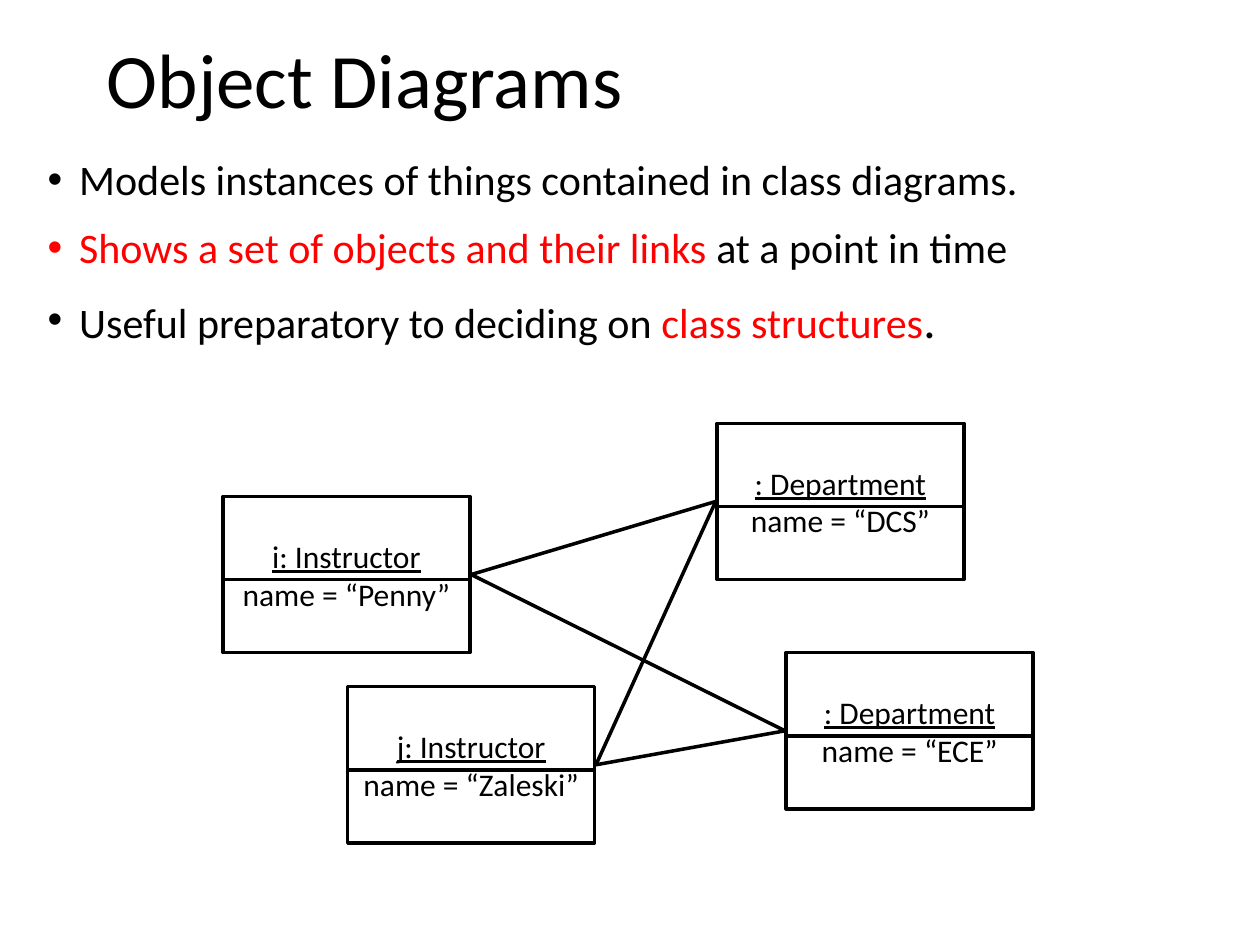
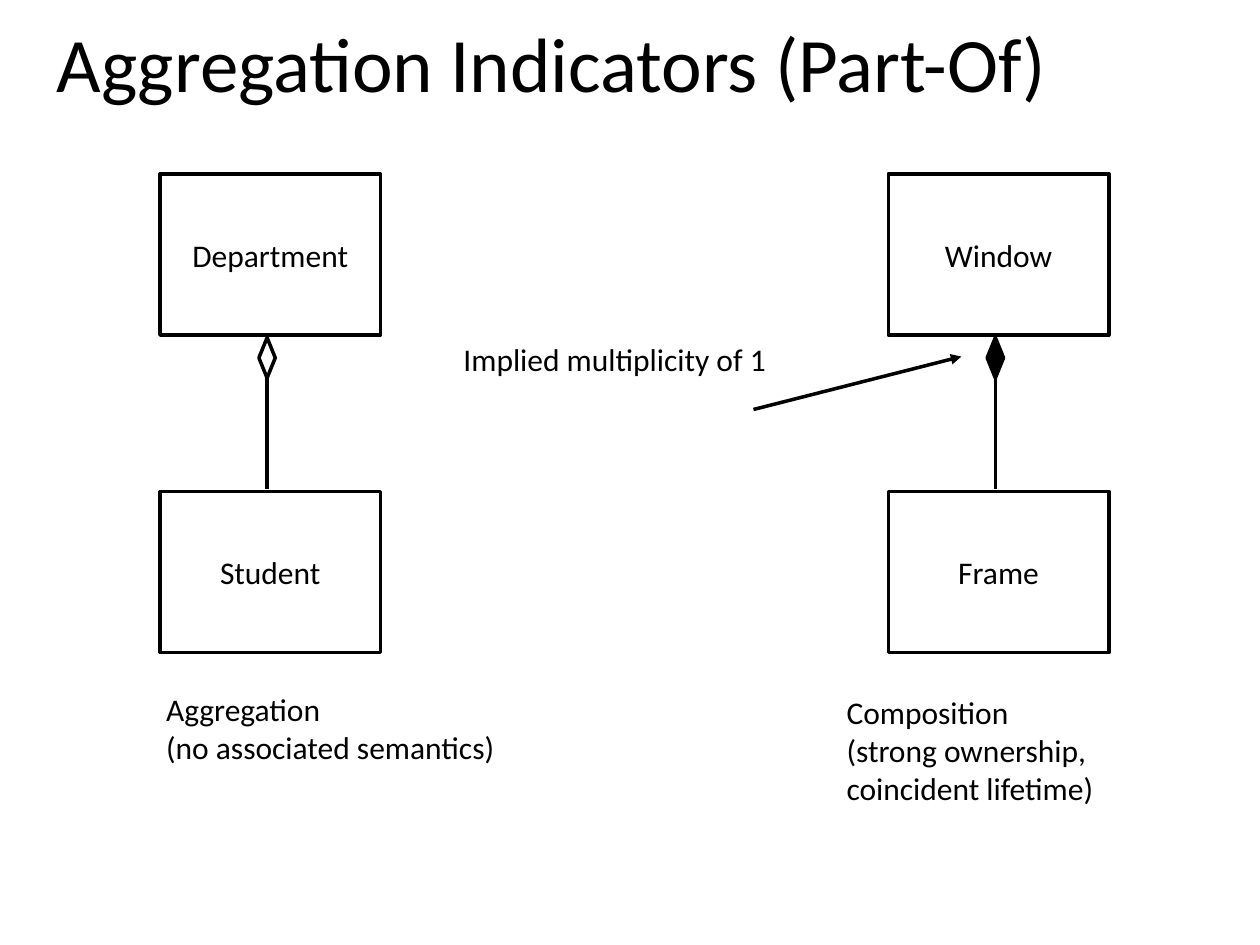
"""Build two slides on UML object diagrams and aggregation."""
from lxml.etree import SubElement
from pptx import Presentation
from pptx.dml.color import RGBColor
from pptx.enum.shapes import MSO_CONNECTOR, MSO_SHAPE
from pptx.enum.text import MSO_ANCHOR, PP_ALIGN
from pptx.oxml.ns import qn
from pptx.util import Inches, Pt

HUES = {"ink": "000000", "paper": "FFFFFF", "key": "FF0000"}
FONT = "Calibri"
RULE = 2
GAP = 0.01

RED = {"hue": "key"}
POINTS = [
    ["Models instances of things contained in class diagrams."],
    [("Shows a set of objects and their links ", RED), "at a point in time"],
    ["Useful preparatory to deciding on ", ("class structures", RED), (".", {"size": 28})],
]

CARD = (1.96, 1.24)
SPLIT = 0.66
CARDS = {
    "Penny": ("i: Instructor", 1.77, 3.94),
    "Zaleski": ("j: Instructor", 2.76, 5.45),
    "DCS": (": Department", 5.69, 3.36),
    "ECE": (": Department", 6.24, 5.18),
}
LINKS = [("Penny", "DCS"), ("Penny", "ECE"), ("Zaleski", "DCS"), ("Zaleski", "ECE")]

BOX = (1.75, 1.28)
ROWS = (1.38, 3.9)
GEM = (0.13, 0.32)
PAIRS = [
    (1.27, ("Department", "Student"), "paper"),
    (7.05, ("Window", "Frame"), "ink"),
]
NOTES = [
    ((3.58, 2.65, 2.65, 0.91), [["Implied multiplicity of 1"]]),
    ((6.62, 5.45, 2.92, 1.31), [["Composition"], ["(strong ownership,", "\n", "coincident lifetime)"]]),
    ((1.22, 5.43, 3.72, 0.91), [["Aggregation"], ["(no associated semantics)"]]),
]
POINTER = ((5.98, 3.25), (7.63, 2.83))


def color(name):
    return RGBColor.from_string(HUES[name])


def write(frame, paras, size=18, align=PP_ALIGN.LEFT, anchor=MSO_ANCHOR.TOP,
          wrap=True, lead=None, gap=0, bullet=False):
    frame.word_wrap = wrap
    frame.vertical_anchor = anchor
    for num, runs in enumerate(paras):
        para = frame.paragraphs[0] if num == 0 else frame.add_paragraph()
        if bullet:
            props = para._p.get_or_add_pPr()
            props.set("marL", str(Inches(0.25)))
            props.set("indent", str(-Inches(0.25)))
            SubElement(props, qn("a:buFont"), typeface="Arial")
            SubElement(props, qn("a:buChar"), char="•")
        para.alignment = align
        para.line_spacing = lead
        para.space_before = Pt(gap if num else 0)
        para.font.size = Pt(size)
        for item in runs:
            if item == "\n":
                para.add_line_break()
                continue
            text, form = (item, {}) if isinstance(item, str) else item
            run = para.add_run()
            run.text = text
            run.font.name = FONT
            run.font.size = Pt(form.get("size", size))
            run.font.underline = form.get("under", False)
            run.font.color.rgb = color(form.get("hue", "ink"))


def label(slide, place, paras, **form):
    box = slide.shapes.add_textbox(*map(Inches, place))
    write(box.text_frame, paras, **form)


def title(slide, place, text):
    label(slide, place, [[text]], size=44, lead=0.9, anchor=MSO_ANCHOR.MIDDLE)


def block(slide, place, runs=(), kind=MSO_SHAPE.RECTANGLE, fill="paper"):
    shape = slide.shapes.add_shape(kind, *map(Inches, place))
    shape.shadow.inherit = False
    shape.fill.solid()
    shape.fill.fore_color.rgb = color(fill)
    shape.line.color.rgb = color("ink")
    shape.line.width = Pt(RULE)
    if runs:
        write(shape.text_frame, [runs], align=PP_ALIGN.CENTER,
              anchor=MSO_ANCHOR.MIDDLE, wrap=False)


def line(slide, start, end, arrow=False):
    join = slide.shapes.add_connector(MSO_CONNECTOR.STRAIGHT, *map(Inches, start + end))
    join.line.color.rgb = color("ink")
    join.line.width = Pt(RULE)
    if arrow:
        SubElement(join.line._get_or_add_ln(), qn("a:tailEnd"), type="triangle")
    SubElement(join._element.spPr, qn("a:effectLst"))


def objects(slide):
    title(slide, (0.75, 0, 8.5, 1.33), "Object Diagrams")
    label(slide, (0.28, 1.17, 9.29, 2), POINTS, size=24, gap=10, bullet=True)
    wide, high = CARD
    for name, (kind, left, top) in CARDS.items():
        block(slide, (left, top, wide, high), [(kind, {"under": True}), "\n", f"name = “{name}”"])
        line(slide, (left, top + SPLIT), (left + wide, top + SPLIT))
    for start, end in LINKS:
        _, left, top = CARDS[start]
        _, right, base = CARDS[end]
        line(slide, (left + wide + GAP, top + high / 2), (right - GAP, base + high / 2))


def parts(slide):
    title(slide, (0.35, -0.19, 8.62, 1.45), "Aggregation Indicators (Part-Of)")
    wide, high = BOX
    for left, names, fill in PAIRS:
        for top, name in zip(ROWS, names):
            block(slide, (left, top, wide, high), [name])
        mid = left + 0.85
        top = ROWS[0] + high + 0.02
        block(slide, (mid - GEM[0] / 2, top, *GEM), kind=MSO_SHAPE.DIAMOND, fill=fill)
        line(slide, (mid, top + 0.3), (mid, ROWS[1] - 0.02))
    for place, paras in NOTES:
        label(slide, place, paras)
    line(slide, *POINTER, arrow=True)


def main():
    deck = Presentation()
    deck.slide_width, deck.slide_height = Inches(10), Inches(7.5)
    for draw in (objects, parts):
        draw(deck.slides.add_slide(deck.slide_layouts[6]))
    deck.save("out.pptx")


if __name__ == "__main__":
    main()
